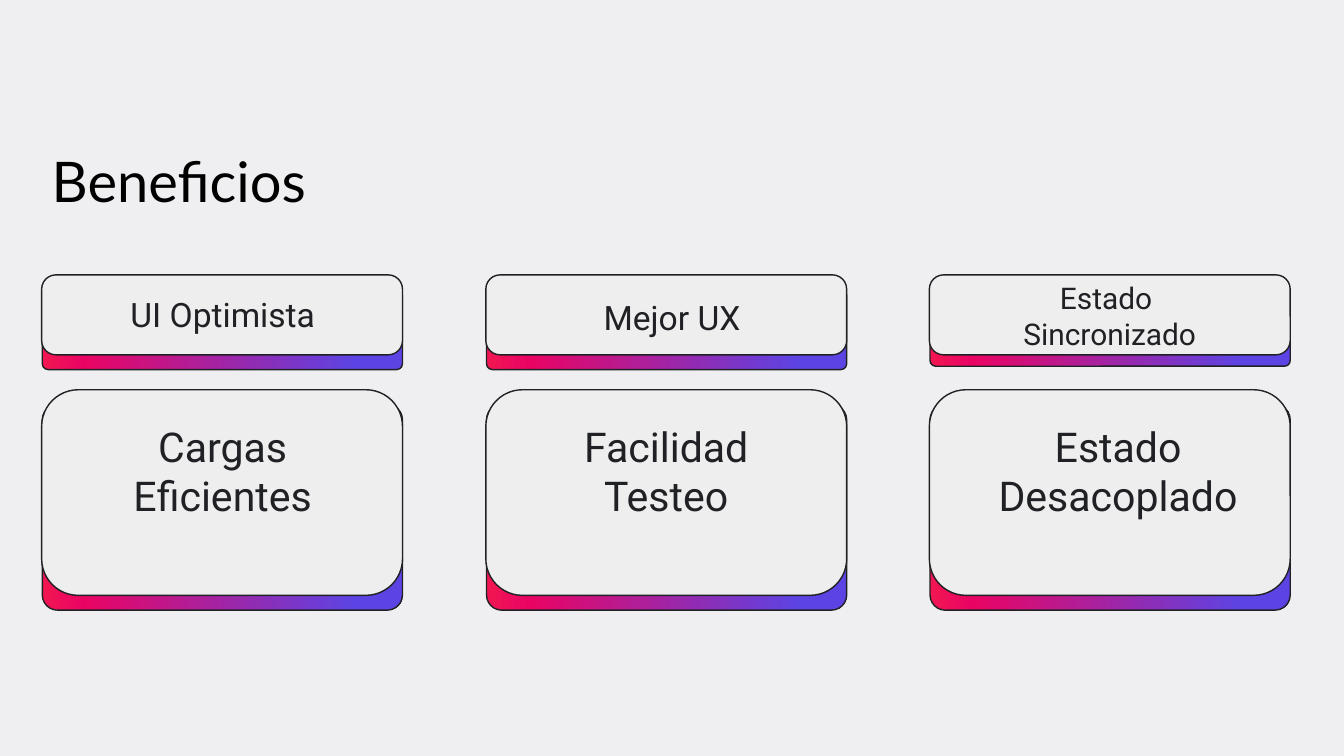
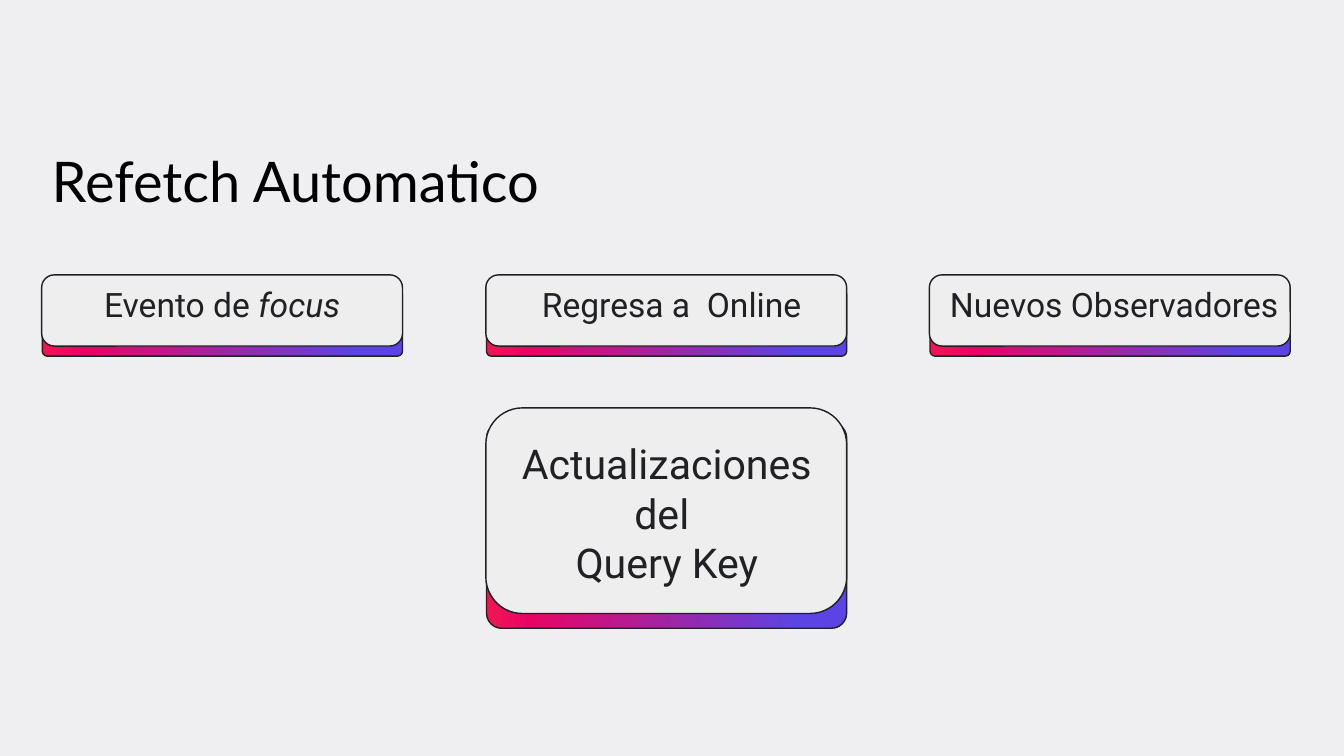
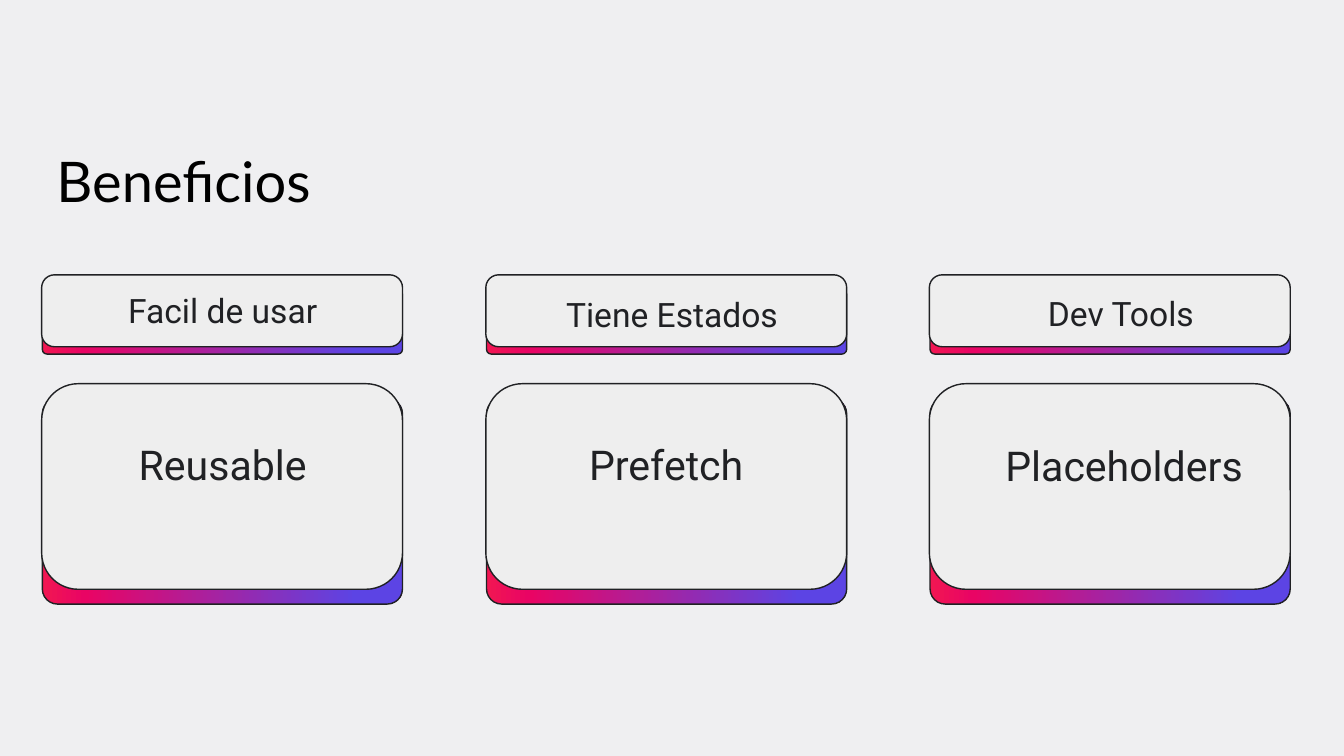
from dataclasses import dataclass, replace

from pptx import Presentation
from pptx.dml.color import RGBColor
from pptx.enum.shapes import MSO_SHAPE
from pptx.enum.text import MSO_ANCHOR, MSO_AUTO_SIZE, PP_ALIGN
from pptx.oxml import parse_xml
from pptx.oxml.ns import nsdecls, qn
from pptx.util import Inches, Pt

BACKGROUND = RGBColor(0xEF, 0xEF, 0xF1)
CARD = RGBColor(0xEE, 0xEE, 0xEE)
INK = RGBColor(0x20, 0x21, 0x24)
BLACK = RGBColor(0x00, 0x00, 0x00)
CRIMSON = RGBColor(0xF1, 0x16, 0x53)
PINK = RGBColor(0xE9, 0x04, 0x64)
VIOLET = RGBColor(0x5C, 0x44, 0xE4)
GRADIENT = ((0, CRIMSON), (12, PINK), (87, VIOLET), (100, VIOLET))

TITLE_FONT = "Lato"
CARD_FONT = "Roboto"
COLUMN_LEFTS = (0.62, 7.23, 13.83)
CARD_WIDTH = 5.37
BASE_DROP = 0.22


@dataclass
class Row:
    """Vertical place of a row of cards, and its text size."""
    top: float
    card_height: float
    base_height: float
    size: int


def write_text(frame, text, *, size, font, color, align=PP_ALIGN.LEFT,
               anchor=MSO_ANCHOR.TOP, line_spacing=None, top_inset=0):
    """Write one paragraph per line; words between asterisks are italic."""
    frame.word_wrap = True
    frame.auto_size = MSO_AUTO_SIZE.SHAPE_TO_FIT_TEXT
    frame.vertical_anchor = anchor
    frame.margin_left = frame.margin_right = frame.margin_bottom = 0
    frame.margin_top = Inches(top_inset)
    for number, line in enumerate(text.split("\n")):
        paragraph = frame.add_paragraph() if number else frame.paragraphs[0]
        paragraph.alignment = align
        if line_spacing:
            paragraph.line_spacing = line_spacing
        for position, part in enumerate(line.split("*")):
            run = paragraph.add_run()
            run.text = part
            run.font.size = Pt(size)
            run.font.name = font
            run.font.color.rgb = color
            if position % 2:
                run.font.italic = True


def add_rounded_box(slide, left, top, width, height, rounding):
    shape = slide.shapes.add_shape(
        MSO_SHAPE.ROUNDED_RECTANGLE,
        Inches(left), Inches(top), Inches(width), Inches(height))
    shape.adjustments[0] = rounding
    shape.shadow.inherit = False
    shape.line.color.rgb = INK
    shape.line.width = Pt(1.5)
    return shape


def fill_gradient(shape):
    shape.fill.gradient()
    shape.fill.gradient_angle = 0
    stops = shape.element.spPr.find(".//" + qn("a:gsLst"))
    stops.clear()
    for percent, color in GRADIENT:
        stops.append(parse_xml(
            f'<a:gs {nsdecls("a")} pos="{percent * 1000}">'
            f'<a:srgbClr val="{color}"/></a:gs>'))


def add_card(slide, row, column, text, text_box):
    """Add a card on its gradient base; text_box is left, top, width, height."""
    left = COLUMN_LEFTS[column]
    base = add_rounded_box(slide, left + 0.01, row.top + BASE_DROP,
                           CARD_WIDTH - 0.01, row.base_height, 0.074)
    fill_gradient(base)
    card = add_rounded_box(slide, left, row.top, CARD_WIDTH, row.card_height, 0.178)
    card.fill.solid()
    card.fill.fore_color.rgb = CARD
    label = slide.shapes.add_textbox(*map(Inches, text_box))
    write_text(label.text_frame, text, size=row.size, font=CARD_FONT, color=INK,
               align=PP_ALIGN.CENTER, anchor=MSO_ANCHOR.MIDDLE, top_inset=0.06)


def add_titled_slide(presentation, text, left, top, width):
    slide = presentation.slides.add_slide(presentation.slide_layouts[5])
    title = slide.shapes.title
    title.left, title.top = Inches(left), Inches(top)
    title.width, title.height = Inches(width), Inches(0.81)
    write_text(title.text_frame, text, size=60, font=TITLE_FONT, color=BLACK,
               line_spacing=0.8)
    return slide


def add_benefits(presentation):
    slide = add_titled_slide(presentation, "Beneficios", 0.77, 2.37, 13.46)
    upper = Row(top=4.09, card_height=1.19, base_height=1.19, size=36)
    lower = Row(top=5.8, card_height=3.06, base_height=3.06, size=44)
    two_lines = replace(upper, base_height=1.14, size=32)
    add_card(slide, upper, 0, "UI Optimista", (1.87, 4.31, 2.89, 0.67))
    add_card(slide, upper, 1, "Mejor UX", (7.83, 4.35, 4.34, 0.67))
    add_card(slide, two_lines, 2, "Estado \nSincronizado", (13.98, 4.1, 5.07, 1.14))
    add_card(slide, lower, 0, "Cargas Eficientes", (1.87, 6.2, 2.89, 1.54))
    add_card(slide, lower, 1, "Facilidad Testeo", (8.47, 6.2, 2.89, 1.54))
    add_card(slide, lower, 2, "Estado Desacoplado", (14.77, 6.2, 3.74, 1.54))


def add_automatic_refetch(presentation):
    slide = add_titled_slide(presentation, "Refetch Automatico", 0.77, 2.37, 9.43)
    upper = Row(top=4.09, card_height=1.06, base_height=0.99, size=36)
    lower = Row(top=6.07, card_height=3.06, base_height=3.06, size=44)
    add_card(slide, upper, 0, "Evento de *focus*", (1.12, 4.16, 4.37, 0.67))
    add_card(slide, upper, 1, "Regresa a  Online", (7.83, 4.16, 4.33, 0.67))
    add_card(slide, upper, 2, "Nuevos Observadores", (13.95, 4.16, 5.26, 0.67))
    add_card(slide, lower, 1, "Actualizaciones del \nQuery Key",
             (7.57, 6.46, 4.71, 2.28))


def add_more_benefits(presentation):
    slide = add_titled_slide(presentation, "Beneficios", 0.84, 2.38, 9.16)
    upper = Row(top=4.09, card_height=1.07, base_height=0.96, size=36)
    lower = Row(top=5.71, card_height=3.06, base_height=3.06, size=44)
    add_card(slide, upper, 0, "Facil de usar", (1.87, 4.25, 2.89, 0.67))
    add_card(slide, upper, 1, "Tiene Estados", (8.15, 4.31, 3.7, 0.67))
    add_card(slide, upper, 2, "Dev Tools", (14.81, 4.29, 3.74, 0.67))
    add_card(slide, lower, 0, "Reusable", (1.87, 6.48, 2.89, 0.8))
    add_card(slide, lower, 1, "Prefetch", (8.47, 6.48, 2.89, 0.8))
    add_card(slide, lower, 2, "Placeholders", (14.91, 6.49, 3.64, 0.8))


def main():
    presentation = Presentation()
    presentation.slide_width = Inches(20)
    presentation.slide_height = Inches(11.25)
    background = presentation.slide_master.background.fill
    background.solid()
    background.fore_color.rgb = BACKGROUND
    add_benefits(presentation)
    add_automatic_refetch(presentation)
    add_more_benefits(presentation)
    presentation.save("out.pptx")


if __name__ == "__main__":
    main()
